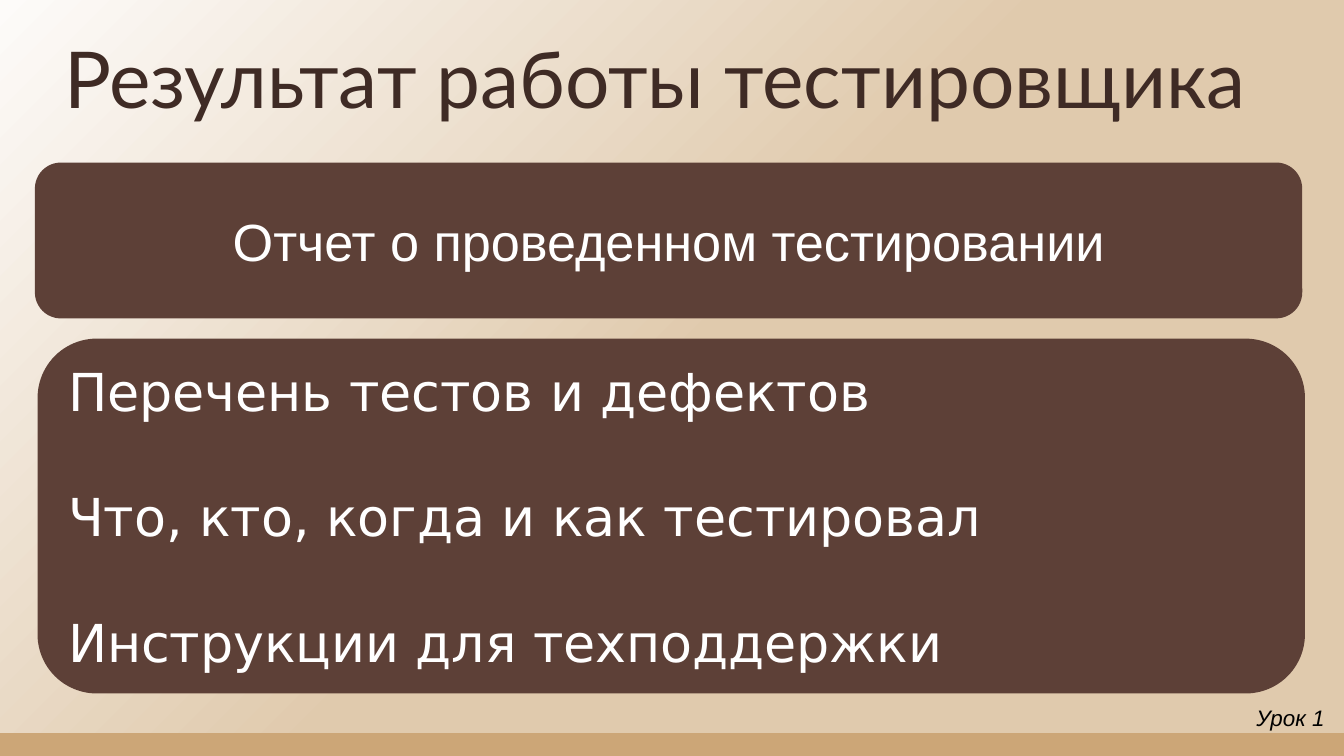
from pptx import Presentation, util as u
from pptx.dml.color import RGBColor
from pptx.enum import shapes, text

COLOURS = {
    "light": "FDFBF9",
    "sand": "E0CAAD",
    "band": "CCA677",
    "title": "3F2B25",
    "panel": "5D4037",
    "white": "FFFFFF",
    "black": "000000",
}
TITLE = {"name": "Lato", "size": u.Pt(42)}
LESSON = {"name": "Arial", "size": u.Pt(12), "italic": True}
REPORT = {"name": "Arial", "size": u.Pt(28)}
CONTENTS = {"name": "DejaVu Sans", "size": u.Pt(28)}


def colour(name):
    """Return the named colour."""
    return RGBColor.from_string(COLOURS[name])


def inches(box):
    """Turn left, top, width and height into lengths."""
    return [u.Inches(value) for value in box]


def write(shape, lines, font, font_colour, anchor, paragraph_format):
    """Write one paragraph per line, spacing only between paragraphs."""
    frame = shape.text_frame
    frame.word_wrap = True
    frame.vertical_anchor = anchor
    for index, line in enumerate(lines):
        paragraph = frame.paragraphs[0] if index == 0 else frame.add_paragraph()
        run = paragraph.add_run()
        run.text = line
        for name, value in paragraph_format.items():
            if index or name != "space_before":
                setattr(paragraph, name, value)
        for name, value in font.items():
            setattr(run.font, name, value)
        run.font.color.rgb = colour(font_colour)


def add_block(slide, box, kind, fill):
    """Add a plain filled shape."""
    shape = slide.shapes.add_shape(kind, *inches(box))
    shape.shadow.inherit = False
    shape.fill.solid()
    shape.fill.fore_color.rgb = colour(fill)
    shape.line.fill.background()
    return shape


def add_background(slide, width, height):
    """Paint the diagonal gradient and the band along the bottom."""
    fill = slide.background.fill
    fill.gradient()
    fill.gradient_angle = 315
    for stop, position, name in zip(fill.gradient_stops, (0, 0.5), ("light", "sand")):
        stop.position = position
        stop.color.rgb = colour(name)
    band = 0.17
    add_block(slide, (0, height - band, width, band), shapes.MSO_SHAPE.RECTANGLE, "band")


def add_title(slide, box, title):
    """Add the slide title, resting on the bottom of its box."""
    shape = slide.shapes.add_textbox(*inches(box))
    for side in ("left", "top", "right", "bottom"):
        setattr(shape.text_frame, f"margin_{side}", u.Inches(0.1))
    write(shape, [title], TITLE, "title", text.MSO_ANCHOR.BOTTOM, {"line_spacing": 0.9})


def add_lesson(slide, box, label):
    """Add the lesson label in the corner."""
    shape = slide.shapes.add_textbox(*inches(box))
    write(shape, [label], LESSON, "black", text.MSO_ANCHOR.TOP, {})


def add_panel(slide, box, lines, font, paragraph_format):
    """Add a rounded panel with white text."""
    shape = add_block(slide, box, shapes.MSO_SHAPE.ROUNDED_RECTANGLE, "panel")
    write(shape, lines, font, "white", text.MSO_ANCHOR.MIDDLE, paragraph_format)


def main():
    """Build the slide and save it."""
    width = 10
    height = width * 9 / 16
    presentation = Presentation()
    presentation.slide_width = u.Inches(width)
    presentation.slide_height = u.Inches(height)
    slide = presentation.slides.add_slide(presentation.slide_layouts[6])
    add_background(slide, width, height)
    add_title(slide, (0.38, 0.18, 9.18, 0.85), "Результат работы тестировщика")
    add_lesson(slide, (9.25, 5.19, 0.75, 0.3), "Урок 1")
    add_panel(
        slide,
        (0.26, 1.21, 9.43, 1.16),
        ["Отчет о проведенном тестировании"],
        REPORT,
        {"alignment": text.PP_ALIGN.CENTER},
    )
    add_panel(
        slide,
        (0.28, 2.52, 9.43, 2.64),
        [
            "Перечень тестов и дефектов",
            "Что, кто, когда и как тестировал",
            "Инструкции для техподдержки",
        ],
        CONTENTS,
        {"alignment": text.PP_ALIGN.LEFT, "space_before": u.Pt(33.5)},
    )
    presentation.save("out.pptx")


if __name__ == "__main__":
    main()
